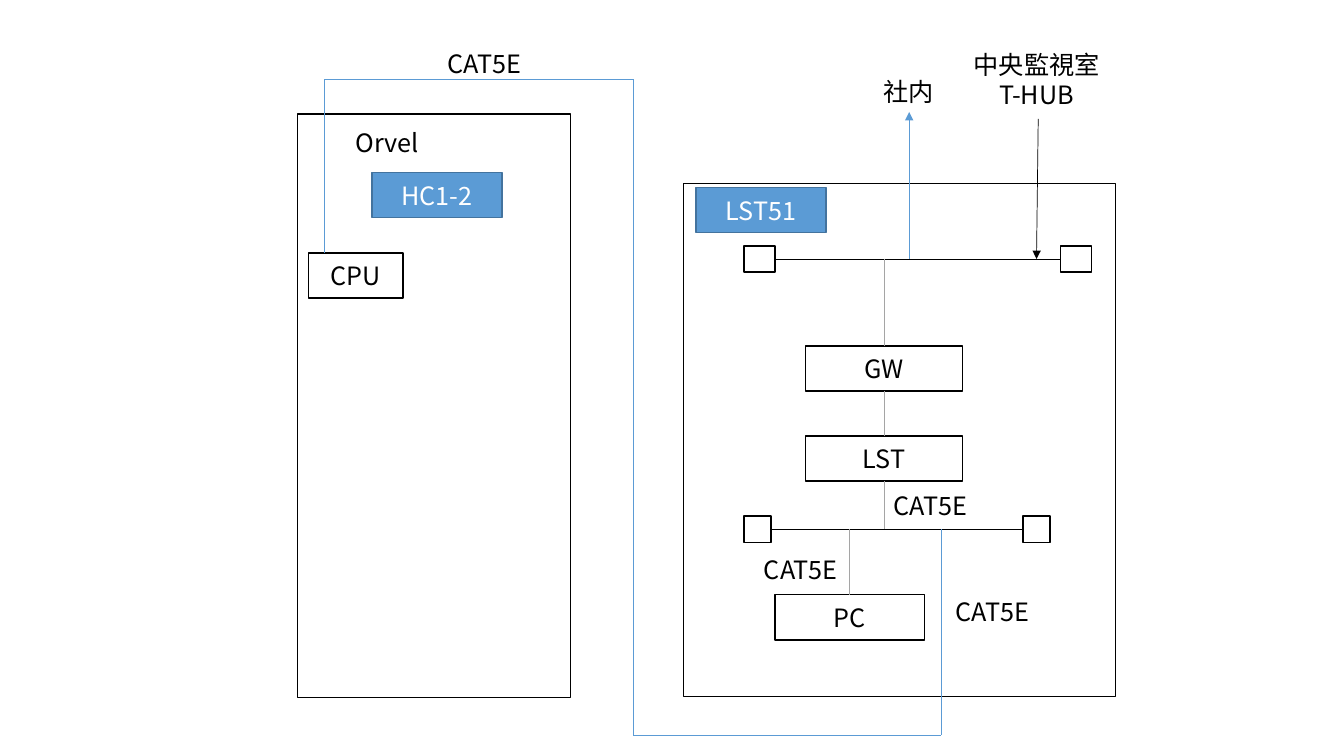
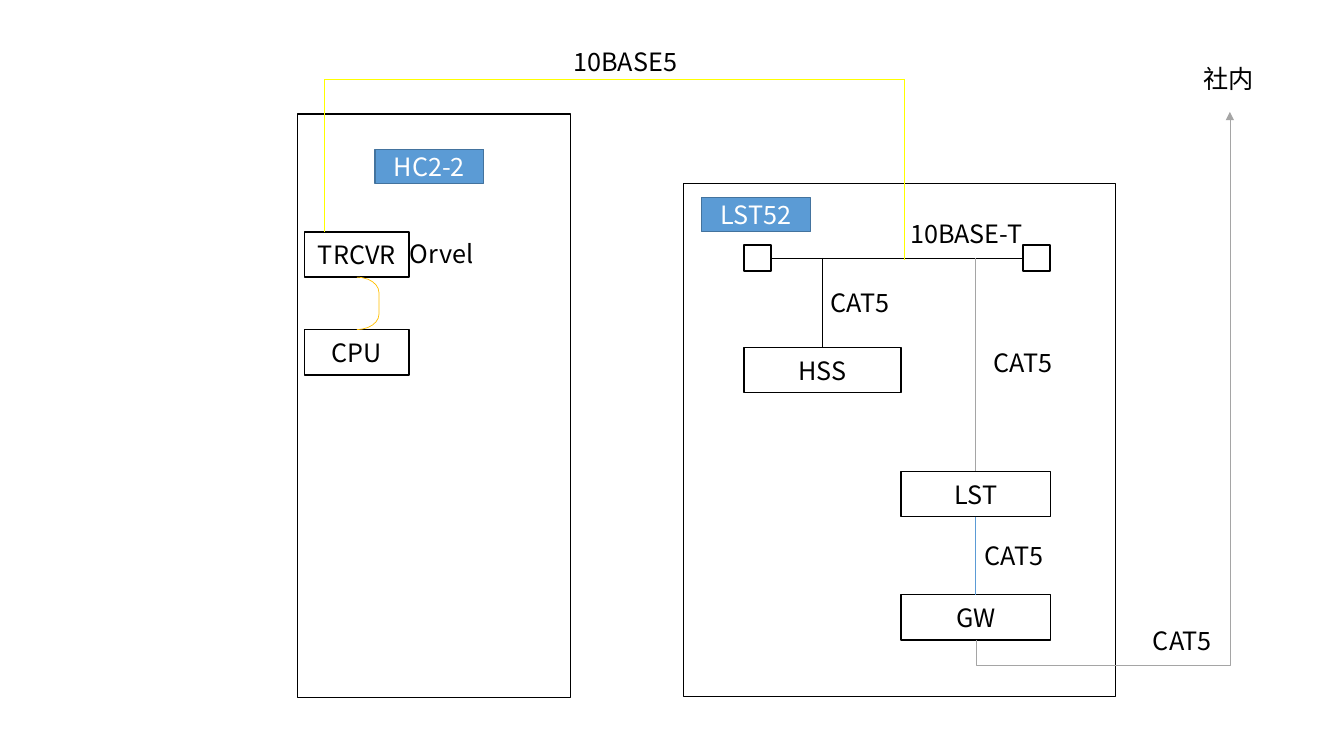
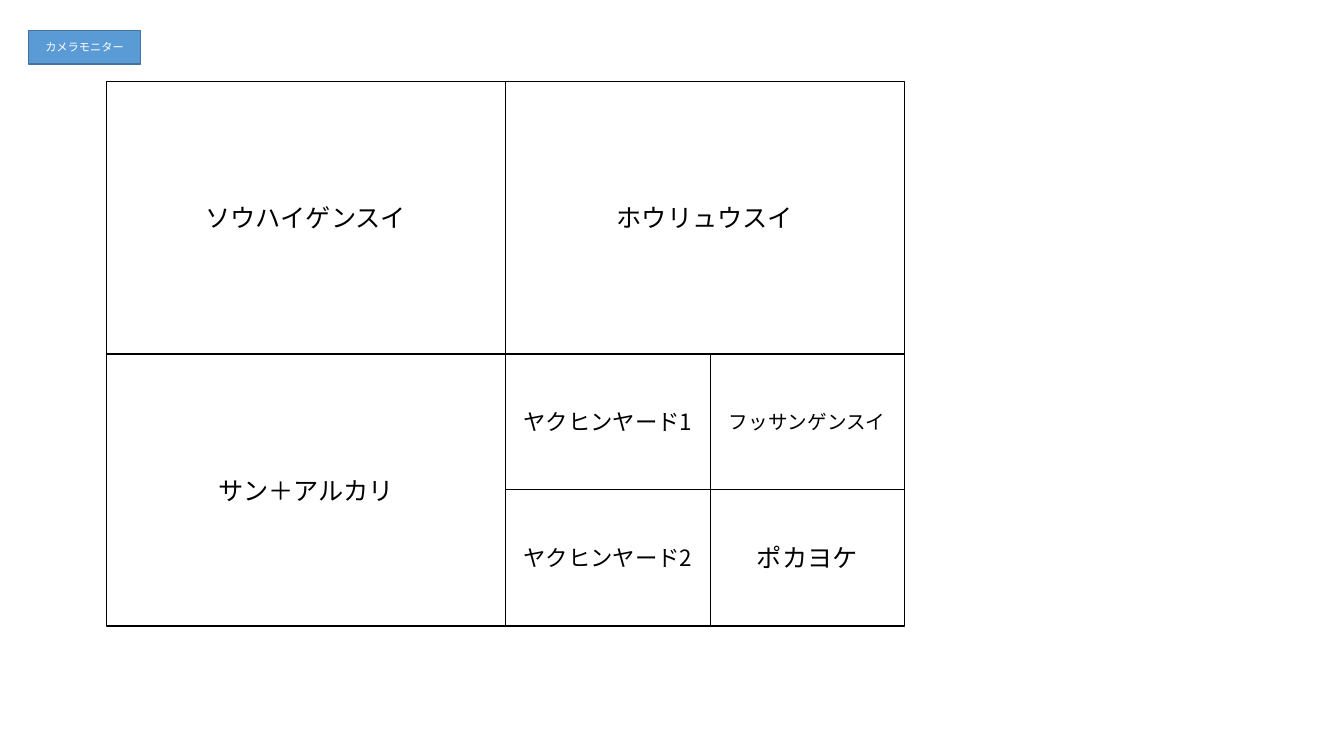
from itertools import pairwise

from lxml import etree
from pptx import Presentation
from pptx.dml.color import RGBColor
from pptx.enum.shapes import MSO_CONNECTOR, MSO_SHAPE
from pptx.enum.text import MSO_ANCHOR, PP_ALIGN
from pptx.oxml.ns import qn
from pptx.util import Pt

RECT, BRACKET = MSO_SHAPE.RECTANGLE, MSO_SHAPE.RIGHT_BRACKET
STRAIGHT, ELBOW = MSO_CONNECTOR.STRAIGHT, MSO_CONNECTOR.ELBOW
LEFT, CENTER, MIDDLE = PP_ALIGN.LEFT, PP_ALIGN.CENTER, MSO_ANCHOR.MIDDLE

FONT = "Noto Sans CJK JP"
BLACK = RGBColor(0x00, 0x00, 0x00)
WHITE = RGBColor(0xFF, 0xFF, 0xFF)
BLUE = RGBColor(0x5B, 0x9B, 0xD5)
NAVY = RGBColor(0x43, 0x73, 0x9E)
GRAY = RGBColor(0xA5, 0xA5, 0xA5)
YELLOW = RGBColor(0xFF, 0xFF, 0x00)
AMBER = RGBColor(0xFF, 0xC0, 0x00)

ROW = 32.4    # height of a device box
TEXT = 28.8   # height of a one-line label
TAP = 18.7    # height of a bus terminator


def box(slide, text, x, y, w, h, fill=None, size=18, align=CENTER):
    """Add a white device box, a blue tag, or (without fill) a bare label."""
    place = Pt(x), Pt(y), Pt(w), Pt(h)
    if fill is None:
        shape = slide.shapes.add_textbox(*place)
    else:
        shape = slide.shapes.add_shape(RECT, *place)
        shape.shadow.inherit = False
        shape.fill.solid()
        shape.fill.fore_color.rgb = fill
        shape.line.color.rgb = NAVY if fill == BLUE else BLACK
        shape.line.width = Pt(1)
    frame = shape.text_frame
    frame.word_wrap = True
    frame.vertical_anchor = MIDDLE
    if text:
        frame.text = text
        for para in frame.paragraphs:
            para.alignment = align
            font = para.font
            font.name, font.size = FONT, Pt(size)
            font.color.rgb = WHITE if fill == BLUE else BLACK
            props = para._p.pPr.find(qn("a:defRPr"))
            etree.SubElement(props, qn("a:ea"), typeface=FONT)
    return shape


def wire(slide, color, *points, arrow=False, kind=STRAIGHT):
    """Join the points in order; return the last connector."""
    for (x1, y1), (x2, y2) in pairwise(points):
        link = slide.shapes.add_connector(kind, Pt(x1), Pt(y1), Pt(x2), Pt(y2))
        link.line.color.rgb = color
        link.line.width = Pt(0.5)
        etree.SubElement(link._element.spPr, qn("a:effectLst"))
    if arrow:
        etree.SubElement(link.line._get_or_add_ln(), qn("a:tailEnd"), type="triangle")
    return link


prs = Presentation()
prs.slide_width, prs.slide_height = Pt(960), Pt(540)
first, second, third = [prs.slides.add_slide(prs.slide_layouts[6]) for _ in range(3)]

# Cabinets
for slide in (first, second):
    box(slide, "", 212.4, 81.4, 195.1, 416.9, WHITE)
    room = box(slide, "", 488.2, 131, 308.9, 366.5, WHITE)
    room.fill.background()
    room.line.width = Pt(0.75)

# Buses with a terminator at each end
for slide, y, width, right in (
    (first, 185, 22.3, 757.4),
    (first, 378, 19.4, 730.8),
    (second, 184.3, 19.4, 730.8),
):
    for x in (531.4, right):
        box(slide, "", x, y - TAP / 2, width, TAP, WHITE)
    wire(slide, BLACK, (531.4 + width, y), (right, y))

# Devices
for slide, text, x, y, width in (
    (first, "GW", 575.3, 247, 112.3),
    (first, "LST", 575.3, 311.3, 112.3),
    (first, "PC", 553.7, 424.8, 106.6),
    (first, "CPU", 220.3, 180.6, 67.7),
    (second, "HSS", 531.4, 248.2, 112.3),
    (second, "LST", 643.7, 336.7, 106.6),
    (second, "GW", 643.7, 424.8, 106.6),
    (second, "TRCVR", 217.4, 165.6, 74.9),
    (second, "CPU", 217.4, 235.4, 74.9),
):
    box(slide, text, x, y, width, ROW, WHITE)

# Cables
for top, end in ((185, 247), (279.4, 311.3), (343.7, 378)):
    wire(first, GRAY, (631.4, top), (631.4, end))
wire(first, GRAY, (607, 378), (607, 424.8))
wire(first, BLUE, (231.8, 180.6), (231.8, 56.5), (452.2, 56.5),
     (452.2, 525), (672.5, 525), (672.5, 378))
wire(first, BLUE, (649.4, 185), (649.4, 80), arrow=True)
wire(first, BLACK, (741.6, 85), (740.4, 185), arrow=True)

wire(second, BLACK, (587.5, 184.3), (587.5, 248.2))
wire(second, GRAY, (697, 184.3), (697, 336.7))
wire(second, BLUE, (697, 369.1), (697, 424.8))
wire(second, YELLOW, (231.8, 165.6), (231.8, 56.5), (645.8, 56.5), (645.8, 185.8))

# The elbow lies flat and is turned a quarter, so it leaves GW downwards
out = wire(second, GRAY, (976.4, 359.3), (599.1, 177.9), arrow=True, kind=ELBOW)
out._element.spPr.find(qn("a:xfrm")).set("rot", "5400000")
bend = out._element.spPr.find(qn("a:prstGeom")).find(qn("a:avLst"))
etree.SubElement(bend, qn("a:gd"), name="adj1", fmla="val -4800")

drop = second.shapes.add_shape(BRACKET, Pt(254.9), Pt(198), Pt(15.8), Pt(37.4))
drop.adjustments[0] = 0.69
drop.shadow.inherit = False
drop.fill.background()
drop.line.color.rgb = AMBER
drop.line.width = Pt(0.5)

# Labels
for slide, text, x, y, width in (
    (first, "Orvel", 247, 87.1, 125),
    (first, "社内", 624.2, 51.1, 52),
    (first, "CAT5E", 312.5, 31, 72.7),
    (first, "CAT5E", 538.6, 392.4, 72.7),
    (first, "CAT5E", 631.4, 346.3, 72.7),
    (first, "CAT5E", 675.4, 422.6, 72.7),
    (second, "Orvel", 285.8, 167, 125),
    (second, "社内", 852.5, 41.8, 52),
    (second, "10BASE5", 402.5, 29.5, 93),
    (second, "10BASE-T", 643, 152.6, 121.7),
    (second, "CAT5", 702.7, 244.8, 62),
    (second, "CAT5", 586.1, 201.6, 62),
    (second, "CAT5", 696.2, 382.3, 62),
    (second, "CAT5", 816.5, 442.8, 62),
):
    box(slide, text, x, y, width, TEXT, align=LEFT)
box(first, "中央監視室\nT-HUB", 680.4, 31, 120.2, 51.1)

# Blue tags
for slide, text, x, y, width, height, size in (
    (first, "LST51", 497.2, 133.9, 92.9, ROW, 18),
    (first, "HC1-2", 265.7, 123.1, 92.9, ROW, 18),
    (second, "LST52", 501.1, 141.1, 77.8, 24.5, 18),
    (second, "HC2-2", 267.8, 106.6, 77.8, 24.5, 18),
    (third, "カメラモニター", 20.5, 21.6, 80, 24, 8),
):
    box(slide, text, x, y, width, height, BLUE, size)

# Monitor screen: quarters, the last one split again
COLS = (76, 361, 507.4, 646)
ROWS = (58.3, 252.8, 349.6, 447.3)
for text, left, right, top, end, size in (
    ("ソウハイゲンスイ", 0, 1, 0, 1, 18),
    ("ホウリュウスイ", 1, 3, 0, 1, 18),
    ("サン＋アルカリ", 0, 1, 1, 3, 18),
    ("ヤクヒンヤード1", 1, 2, 1, 2, 16),
    ("フッサンゲンスイ", 2, 3, 1, 2, 14),
    ("ヤクヒンヤード2", 1, 2, 2, 3, 16),
    ("ポカヨケ", 2, 3, 2, 3, 18),
):
    box(third, text, COLS[left], ROWS[top], COLS[right] - COLS[left],
        ROWS[end] - ROWS[top], WHITE, size)

prs.save("out.pptx")
